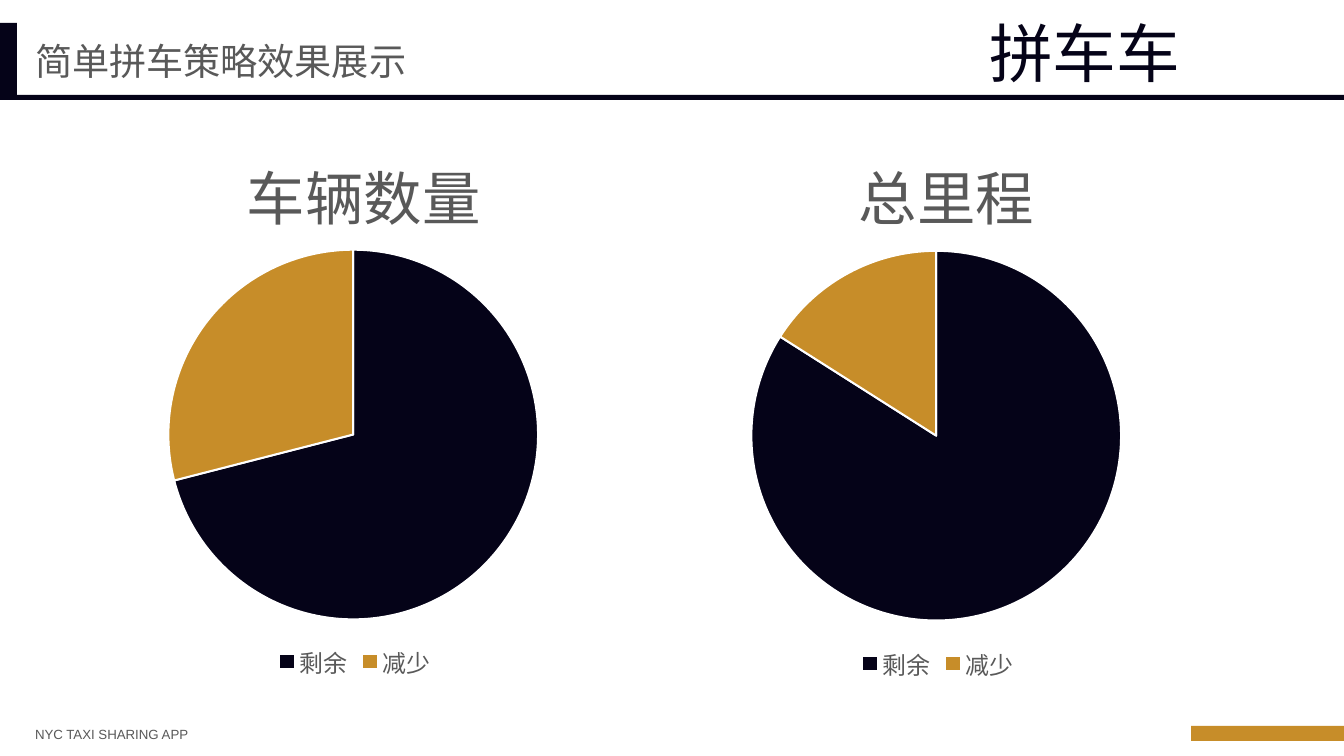
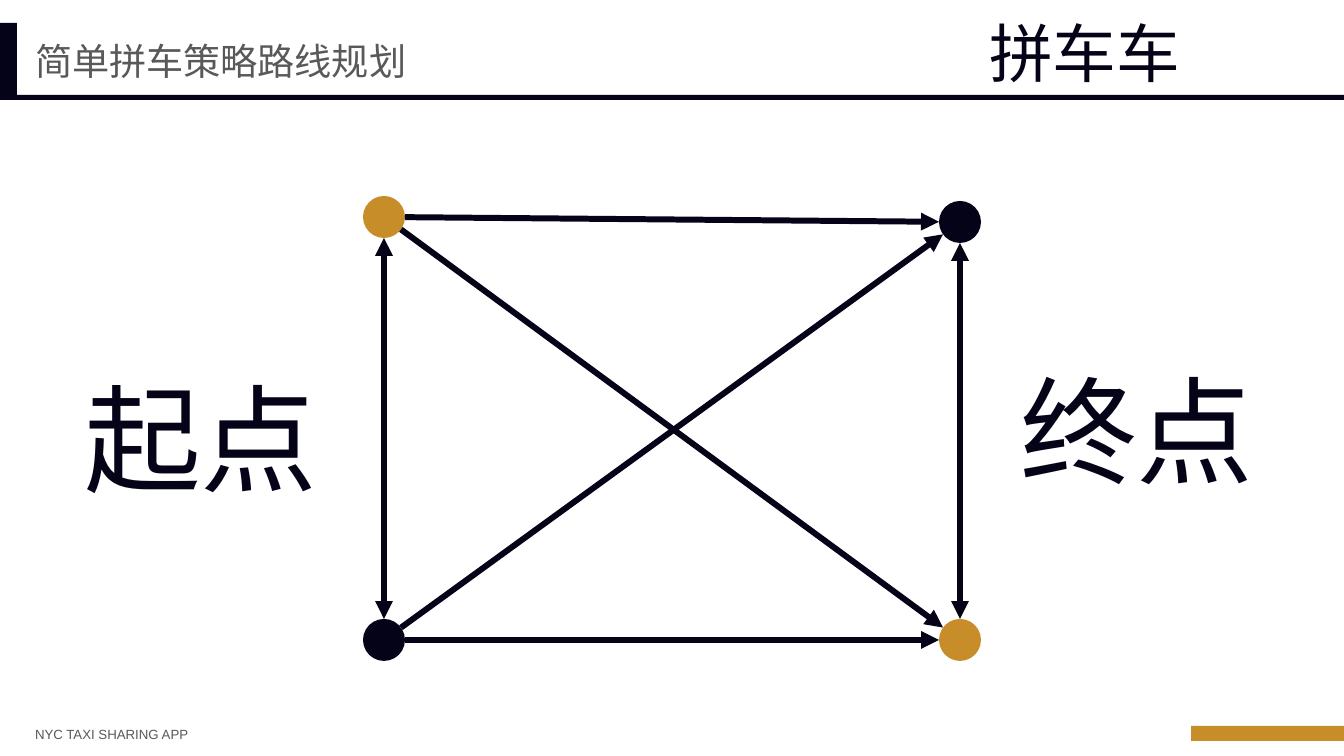
import math
from dataclasses import dataclass

import pptx
import pptx.chart.data
import pptx.dml.color
import pptx.enum.chart
import pptx.enum.shapes
import pptx.enum.text
import pptx.oxml
import pptx.oxml.ns
import pptx.util

SCALE = 9565
WIDE, HIGH = 1344, 756


@dataclass(frozen=True)
class Theme:
    dark: str = "050318"
    gold: str = "C78D29"
    gray: str = "595959"
    white: str = "FFFFFF"
    latin: str = "Arial"
    han: str = "Noto Sans CJK SC"
    graph: str = "Calibri"
    title: int = 28
    brand: int = 48
    foot: int = 10
    label: int = 88
    head: int = 44
    key: int = 18
    arrow: float = 4.5
    edge: float = 1.5


THEME = Theme()


def px(num):
    return pptx.util.Emu(round(num * SCALE))


def box(*nums):
    return [px(num) for num in nums]


def rgb(code):
    return pptx.dml.color.RGBColor.from_string(code)


def style(font, size, color, name):
    font.size = pptx.util.Pt(size)
    font.name = name
    font.bold = False
    font.color.rgb = rgb(color)


def add_run(para, text, size, color, name):
    run = para.add_run()
    run.text = text
    style(run.font, size, color, name)
    props = run.font._element
    east = pptx.oxml.parse_xml(
        f'<a:ea {pptx.oxml.ns.nsdecls("a")} typeface="{THEME.han}"/>')
    props.find(pptx.oxml.ns.qn("a:latin")).addnext(east)


def fill_text(shape, text, size, color, name):
    frame = shape.text_frame
    frame.word_wrap = False
    frame.auto_size = pptx.enum.text.MSO_AUTO_SIZE.NONE
    frame.vertical_anchor = pptx.enum.text.MSO_ANCHOR.MIDDLE
    frame.margin_left = frame.margin_right = px(10)
    frame.margin_top = frame.margin_bottom = px(5)
    para = frame.paragraphs[0]
    para.alignment = pptx.enum.text.PP_ALIGN.LEFT
    add_run(para, text, size, color, name)


def add_text(slide, place, *look):
    fill_text(slide.shapes.add_textbox(*box(*place)), *look)


def add_solid(slide, kind, place, color):
    shape = slide.shapes.add_shape(kind, *box(*place))
    shape.shadow.inherit = False
    shape.fill.solid()
    shape.fill.fore_color.rgb = rgb(color)
    shape.line.fill.background()


def add_frame(deck, title):
    slide = deck.slides.add_slide(deck.slide_layouts[5])
    rect = pptx.enum.shapes.MSO_SHAPE.RECTANGLE
    bands = [
        ((0, 23, 17, 76), THEME.dark),
        ((0, 95, WIDE, 5), THEME.dark),
        ((1191, 726, 153, 15), THEME.gold),
    ]
    for place, color in bands:
        add_solid(slide, rect, place, color)
    name = slide.shapes.title
    name.left, name.top, name.width, name.height = box(25, 33, 396, 55)
    fill_text(name, title, THEME.title, THEME.gray, THEME.latin)
    add_text(slide, (25, 721, 177, 26), "NYC TAXI SHARING APP",
             THEME.foot, THEME.gray, THEME.latin)
    add_text(slide, (979, 9, 212, 87), "拼车车",
             THEME.brand, THEME.dark, THEME.han)
    return slide


def set_place(chart, tag, **spots):
    qn = pptx.oxml.ns.qn
    part = chart.element.find(".//" + qn(tag))
    old = part.find(qn("c:layout"))
    if old is not None:
        part.remove(old)
    inner = '<c:layoutTarget val="inner"/>' if tag == "c:plotArea" else ""
    modes = '<c:xMode val="edge"/><c:yMode val="edge"/>'
    nums = "".join(f'<c:{key} val="{val:.3f}"/>' for key, val in spots.items())
    layout = pptx.oxml.parse_xml(
        f'<c:layout {pptx.oxml.ns.nsdecls("c")}><c:manualLayout>'
        f'{inner}{modes}{nums}</c:manualLayout></c:layout>')
    over = part.find(qn("c:overlay"))
    if over is None:
        part.insert(0, layout)
    else:
        over.addprevious(layout)


def add_pie(slide, place, title, vals):
    data = pptx.chart.data.CategoryChartData()
    data.categories = ["剩余", "减少"]
    data.add_series(title, vals)
    kind = pptx.enum.chart.XL_CHART_TYPE.PIE
    chart = slide.shapes.add_chart(kind, *box(*place), data).chart
    style(chart.font, THEME.key, THEME.gray, THEME.graph)
    chart.has_title = True
    para = chart.chart_title.text_frame.paragraphs[0]
    add_run(para, title, THEME.head, THEME.gray, THEME.graph)
    chart.has_legend = True
    chart.legend.position = pptx.enum.chart.XL_LEGEND_POSITION.BOTTOM
    chart.legend.include_in_layout = False
    style(chart.legend.font, THEME.key, THEME.gray, THEME.graph)
    plot = chart.plots[0]
    plot.vary_by_categories = True
    for num, color in enumerate((THEME.dark, THEME.gold)):
        form = plot.series[0].points[num].format
        form.fill.solid()
        form.fill.fore_color.rgb = rgb(color)
        form.line.color.rgb = rgb(THEME.white)
        form.line.width = pptx.util.Pt(THEME.edge)
    set_place(chart, "c:title", x=0.5 - 0.038 * len(title), y=0.06)
    set_place(chart, "c:plotArea", x=0.26, y=0.256, w=0.482, h=0.632)
    set_place(chart, "c:legend", x=0.395, y=0.926)


def add_link(slide, start, end, gap, both):
    span = math.dist(start, end)
    step = [gap * (b - a) / span for a, b in zip(start, end)]
    first = [a + d for a, d in zip(start, step)]
    last = [b - d for b, d in zip(end, step)]
    kind = pptx.enum.shapes.MSO_CONNECTOR.STRAIGHT
    link = slide.shapes.add_connector(kind, *box(*first, *last))
    link.line.color.rgb = rgb(THEME.dark)
    link.line.width = pptx.util.Pt(THEME.arrow)
    space = pptx.oxml.ns.nsdecls("a")
    line = link.line._get_or_add_ln()
    for tag in ("headEnd", "tailEnd") if both else ("tailEnd",):
        line.append(pptx.oxml.parse_xml(f'<a:{tag} {space} type="triangle"/>'))
    line.addnext(pptx.oxml.parse_xml(f"<a:effectLst {space}/>"))


def add_charts(deck):
    slide = add_frame(deck, "简单拼车策略效果展示")
    add_pie(slide, (-31, 100, 767, 585), "车辆数量", (71, 29))
    add_pie(slide, (552, 100, 767, 587), "总里程", (84, 16))


def add_routes(deck):
    slide = add_frame(deck, "简单拼车策略路线规划")
    for place, text in (((1010, 353, 255, 151), "终点"),
                        ((74, 361, 255, 151), "起点")):
        add_text(slide, place, text, THEME.label, THEME.dark, THEME.han)
    radius = 21
    nodes = {
        "gold start": (384, 217),
        "dark start": (384, 640),
        "gold end": (960, 640),
        "dark end": (960, 222),
    }
    oval = pptx.enum.shapes.MSO_SHAPE.OVAL
    for name, (mid, row) in nodes.items():
        color = THEME.gold if name.startswith("gold") else THEME.dark
        place = (mid - radius, row - radius, 2 * radius, 2 * radius)
        add_solid(slide, oval, place, color)
    for side in ("start", "end"):
        add_link(slide, nodes[f"gold {side}"], nodes[f"dark {side}"],
                 radius, True)
    for start in ("gold start", "dark start"):
        for end in ("gold end", "dark end"):
            add_link(slide, nodes[start], nodes[end], radius, False)


def main():
    deck = pptx.Presentation()
    deck.slide_width, deck.slide_height = box(WIDE, HIGH)
    add_charts(deck)
    add_routes(deck)
    deck.save("out.pptx")


if __name__ == "__main__":
    main()
